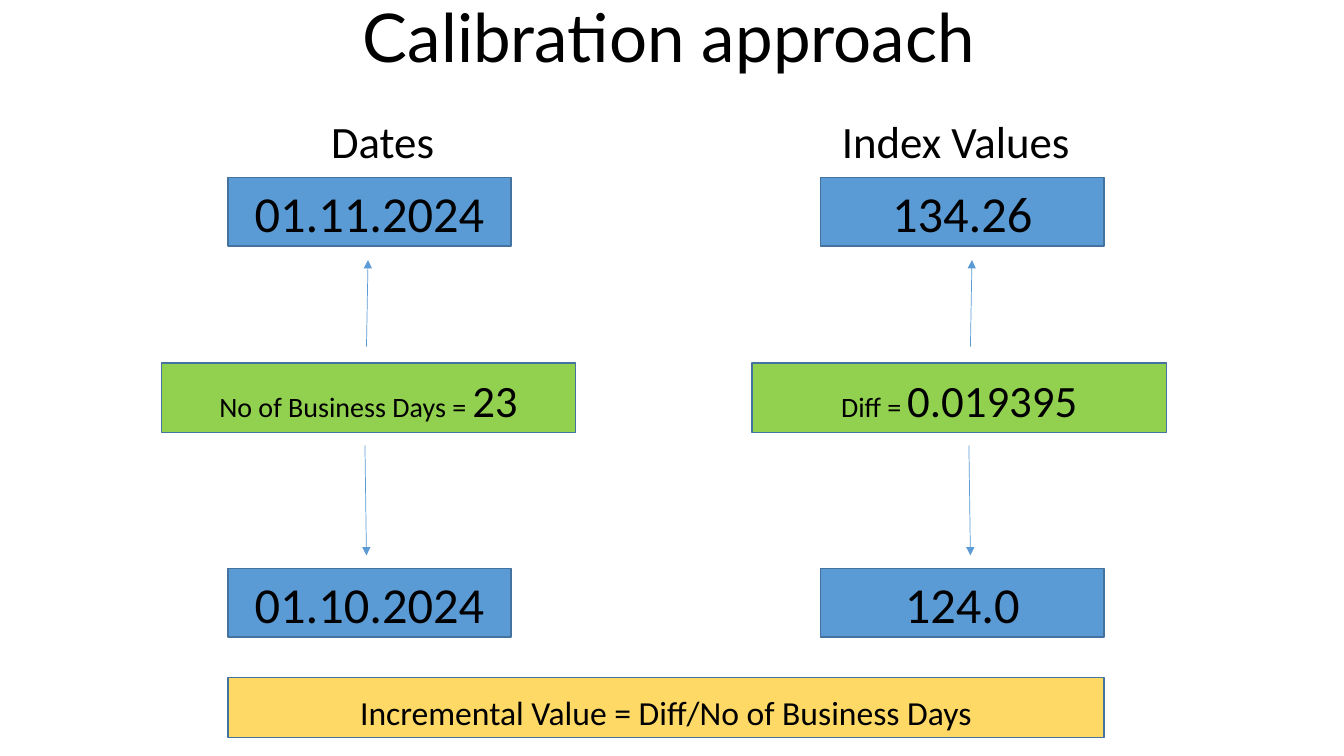
import pptx
import pptx.util
import pptx.dml.color
import pptx.enum.shapes
import pptx.enum.text
import pptx.oxml
import pptx.oxml.ns

# Content: heading, heading box (left, width), end values, middle runs (text, size)
COLS = [
    ("Dates", (3.15, 1.29), ("01.11.2024", "01.10.2024"),
     [("No of Business Days =", 20), (" ", 18), ("23", 32)]),
    ("Index Values", (8.11, 2.74), ("134.26", "124.0"),
     [("Diff =", 20), (" ", 18), ("0.019395", 32)]),
]
TITLE = "Calibration approach"
RULE = "Incremental Value = Diff/No of Business Days"

# Layout in inches: left edges per column, top edges per row
WIDE, HIGH = 13.33, 7.5
END_X, END_W, END_H = (2.26, 8.14), 2.81, 0.68
MID_X, MID_W, MID_H = (1.6, 7.46), 4.11, 0.69
ARROW_X = (3.62, 9.61)
END_Y, MID_Y, RULE_Y = (1.76, 5.64), 3.6, 6.72
BLUE, EDGE, GREEN, GOLD = "5B9BD5", "43739E", "92D050", "FFD966"

deck = pptx.Presentation()
deck.slide_width = pptx.util.Inches(WIDE)
deck.slide_height = pptx.util.Inches(HIGH)
slide = deck.slides.add_slide(deck.slide_layouts[6])


def color(code):
    return pptx.dml.color.RGBColor.from_string(code)


def write(shape, runs, font="Calibri", top=0.05):
    frame = shape.text_frame
    frame.word_wrap = True
    frame.vertical_anchor = pptx.enum.text.MSO_ANCHOR.TOP
    frame.margin_top = pptx.util.Inches(top)
    line = frame.paragraphs[0]
    line.alignment = pptx.enum.text.PP_ALIGN.CENTER
    for text, size in runs:
        run = line.add_run()
        run.text = text
        run.font.name = font
        run.font.size = pptx.util.Pt(size)
        run.font.color.rgb = color("000000")


def label(place, runs, font="Calibri"):
    shape = slide.shapes.add_textbox(*map(pptx.util.Inches, place))
    write(shape, runs, font)


def box(place, fill, runs, top=0.05):
    shape = slide.shapes.add_shape(
        pptx.enum.shapes.MSO_SHAPE.RECTANGLE, *map(pptx.util.Inches, place))
    shape.shadow.inherit = False
    shape.fill.solid()
    shape.fill.fore_color.rgb = color(fill)
    shape.line.color.rgb = color(EDGE)
    shape.line.width = pptx.util.Pt(1)
    write(shape, runs, top=top)


def arrow(*ends):
    link = slide.shapes.add_connector(
        pptx.enum.shapes.MSO_CONNECTOR.STRAIGHT, *map(pptx.util.Inches, ends))
    link.line.color.rgb = color(BLUE)
    link.line.width = pptx.util.Pt(0.5)
    tail = pptx.oxml.parse_xml(
        '<a:tailEnd %s type="triangle"/>' % pptx.oxml.ns.nsdecls("a"))
    link.line._get_or_add_ln().append(tail)
    link._element.spPr.append(pptx.oxml.parse_xml(
        "<a:effectLst %s/>" % pptx.oxml.ns.nsdecls("a")))


# Two columns: heading, end values, middle box and arrows
for col, (head, (left, width), ends, mid) in enumerate(COLS):
    label((left, 1.08, width, 0.64), [(head, 32)])
    for top, value in zip(END_Y, ends):
        box((END_X[col], top, END_W, END_H), BLUE, [(value, 36)])
    x = ARROW_X[col]
    arrow(x, 4.42, x + 0.015, 5.51)
    arrow(x + 0.015, 3.44, x + 0.03, 2.58)
    box((MID_X[col], MID_Y, MID_W, MID_H), GREEN, mid, 0.1)

# Result bar across both columns
span = END_X[1] + END_W - END_X[0]
box((END_X[0], RULE_Y, span, 0.6), GOLD, [(RULE, 24)], 0.14)

# Title
label((0.15, -0.1, 12.97, 0.91), [(TITLE, 48)], "Lato")

deck.save("out.pptx")
